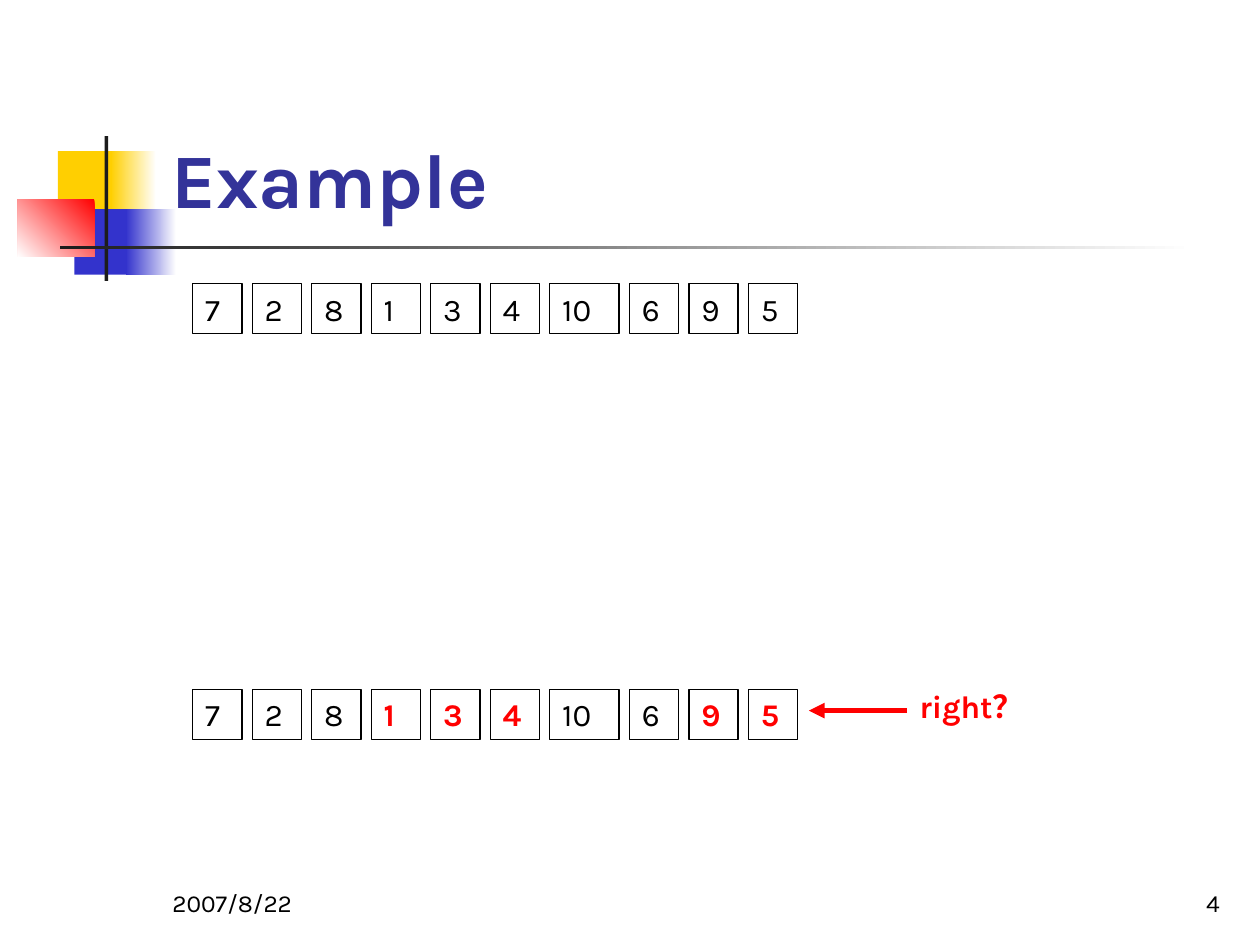
from pptx import Presentation
from pptx.dml.color import RGBColor
from pptx.enum.shapes import MSO_CONNECTOR, MSO_SHAPE as Shape
from pptx.enum.text import MSO_ANCHOR as Anchor, MSO_AUTO_SIZE as AutoSize, PP_ALIGN as Align
from pptx.oxml.ns import qn
from pptx.util import Inches, Pt
from lxml.etree import SubElement

THEME = {
    "font": "Karla",
    "title": Pt(44), "body": Pt(18), "footer": Pt(14),
    "ink": RGBColor.from_string("000000"),
    "heading": RGBColor.from_string("333399"),
    "accent": RGBColor.from_string("FF0000"),
    "white": RGBColor.from_string("FFFFFF"),
    "yellow": RGBColor.from_string("FFCF01"),
    "blue": RGBColor.from_string("3333CC"),
    "bar": RGBColor.from_string("1C1C1C"),
}

prs = Presentation()
prs.slide_width, prs.slide_height = Inches(10), Inches(7.5)
slide = prs.slides.add_slide(prs.slide_layouts[6])


def add_block(left, top, width, height):
    block = slide.shapes.add_shape(
        Shape.RECTANGLE, Inches(left), Inches(top), Inches(width), Inches(height))
    block.shadow.inherit = False
    return block


def write(box, text, size, color, bold=False, anchor=Anchor.TOP,
          align=Align.LEFT, auto_size=AutoSize.NONE):
    frame = box.text_frame
    frame_format = {"word_wrap": True, "vertical_anchor": anchor, "auto_size": auto_size}
    for name, value in frame_format.items():
        setattr(frame, name, value)
    paragraph = frame.paragraphs[0]
    paragraph.text, paragraph.alignment = text, align
    font_format = {"name": THEME["font"], "size": THEME[size], "bold": bold}
    for name, value in font_format.items():
        setattr(paragraph.font, name, value)
    paragraph.font.color.rgb = THEME[color]


# Corner ornament: position, colours from start to end, gradient angle
ornament = [
    ((0.46, 1.2, 0.48, 0.52), ["yellow"], None),
    ((0.88, 1.2, 0.36, 0.52), ["white", "yellow"], 180),
    ((0.59, 1.66, 0.46, 0.52), ["blue"], None),
    ((1, 1.66, 0.4, 0.52), ["white", "blue"], 180),
    ((0.14, 1.58, 0.61, 0.46), ["accent", "white"], 225),
    ((0.83, 1.08, 0.03, 1.15), ["bar"], None),
    ((0.48, 1.95, 9, 0.03), ["white", "bar"], 180),
]
for position, colors, angle in ornament:
    block = add_block(*position)
    block.line.fill.background()
    if angle is None:
        block.fill.solid()
        block.fill.fore_color.rgb = THEME[colors[0]]
    else:
        block.fill.gradient()
        block.fill.gradient_angle = angle
        for stop, color in zip(block.fill.gradient_stops, colors):
            stop.color.rgb = THEME[color]

# Number rows: the same sequence twice, with marked values in the second
numbers = [7, 2, 8, 1, 3, 4, 10, 6, 9, 5]
widths = [0.55 if number == 10 else 0.39 for number in numbers]
row_left, row_right = 1.53, 6.33
gap = (row_right - row_left - sum(widths)) / (len(numbers) - 1)
for row_top, marked in [(2.25, set()), (5.47, {1, 3, 4, 9, 5})]:
    left = row_left
    for number, width in zip(numbers, widths):
        cell = add_block(left, row_top, width, 0.4)
        cell.fill.background()
        cell.line.color.rgb = THEME["ink"]
        cell.line.width = Pt(0.75)
        is_marked = number in marked
        write(cell, str(number), "body", "accent" if is_marked else "ink",
              bold=is_marked, auto_size=AutoSize.SHAPE_TO_FIT_TEXT)
        left += width + gap

# Arrow pointing at the second row
arrow = slide.shapes.add_connector(
    MSO_CONNECTOR.STRAIGHT, Inches(7.2), Inches(5.64), Inches(6.42), Inches(5.64))
arrow.line.color.rgb = THEME["accent"]
arrow.line.width = Pt(3)
arrow_properties = arrow.element.spPr
SubElement(arrow_properties.find(qn("a:ln")), qn("a:tailEnd"), type="triangle")
SubElement(arrow_properties, qn("a:effectLst"))

# Title, question and footer
labels = [
    ((1.26, 0.23, 8.52, 1.6), "Example", "title", "heading",
     {"bold": True, "anchor": Anchor.BOTTOM}),
    ((7.2, 5.4, 1.18, 0.4), "right？", "body", "accent",
     {"bold": True, "auto_size": AutoSize.SHAPE_TO_FIT_TEXT}),
    ((7.7, 6.83, 2.08, 0.5), "4", "footer", "ink",
     {"anchor": Anchor.BOTTOM, "align": Align.RIGHT}),
    ((1.27, 6.83, 2.08, 0.5), "2007/8/22", "footer", "ink",
     {"anchor": Anchor.BOTTOM}),
]
for position, text, size, color, options in labels:
    label = slide.shapes.add_textbox(*map(Inches, position))
    write(label, text, size, color, **options)

prs.save("out.pptx")
